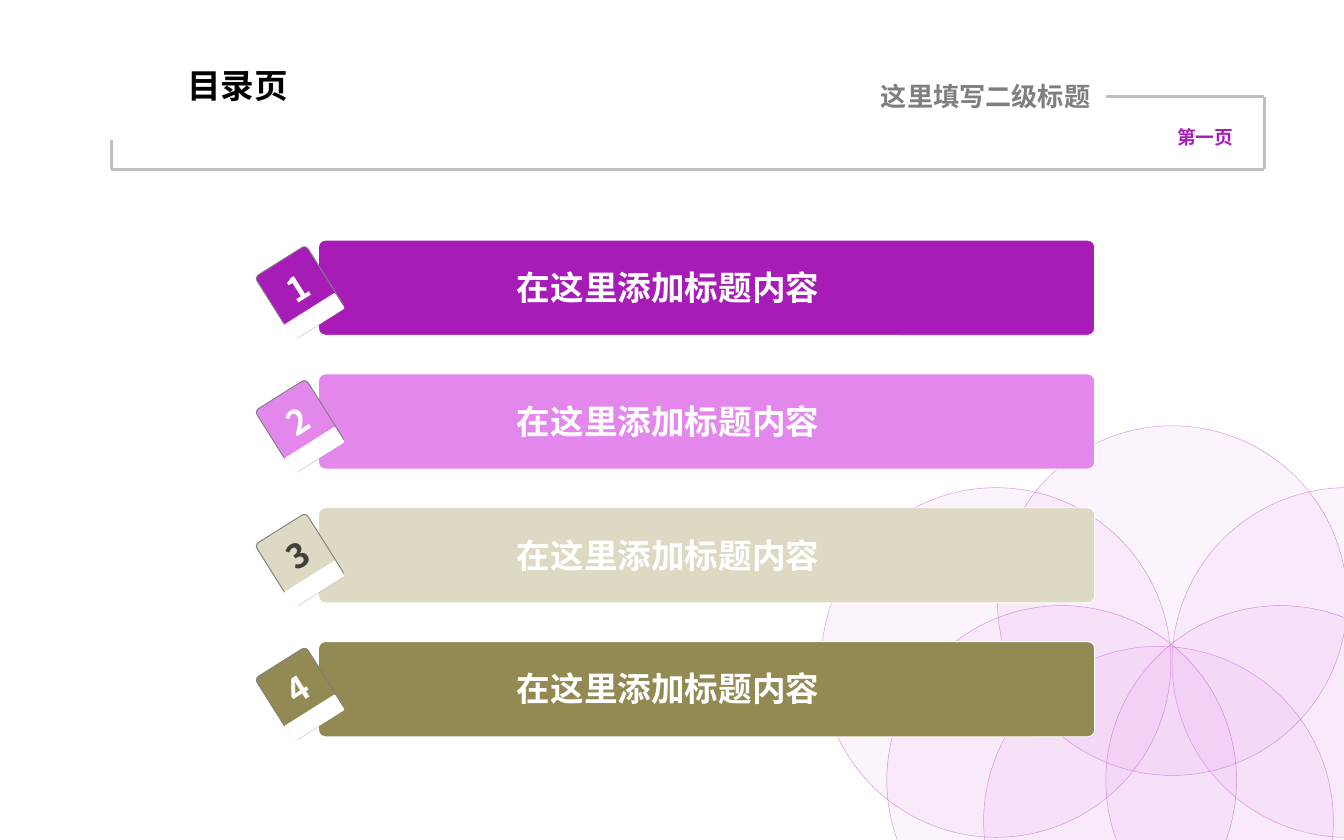
"""Build a contents slide with four numbered bars and a flower of circles."""
from itertools import pairwise

from lxml import etree
from pptx import Presentation
from pptx.dml.color import RGBColor
from pptx.enum.shapes import MSO_CONNECTOR, MSO_SHAPE
from pptx.enum.text import MSO_AUTO_SIZE
from pptx.oxml.ns import qn
from pptx.util import Cm, Pt

ROUND = MSO_SHAPE.ROUNDED_RECTANGLE
OVAL = MSO_SHAPE.OVAL
STRAIGHT = MSO_CONNECTOR.STRAIGHT
FIT = MSO_AUTO_SIZE.SHAPE_TO_FIT_TEXT

PURPLE = RGBColor(0xA7, 0x1C, 0xB6)
PINK = RGBColor(0xE3, 0x87, 0xED)
SAND = RGBColor(0xDD, 0xD9, 0xC3)
OLIVE = RGBColor(0x93, 0x89, 0x53)
WHITE = RGBColor(0xFF, 0xFF, 0xFF)
BLACK = RGBColor(0x00, 0x00, 0x00)
DARK = RGBColor(0x3F, 0x3F, 0x3F)
GRAY = RGBColor(0x7F, 0x7F, 0x7F)
SILVER = RGBColor(0xBF, 0xBF, 0xBF)

SANS = "Noto Sans CJK SC"
SANS_JP = "Noto Sans CJK JP"
PETAL = 6.61
PITCH = 2.53
TILT = 327.8


def add_form(home, kind, box, fill, edge=None, width=0.5, turn=0):
    form = home.add_shape(kind, *map(Cm, box))
    form.shadow.inherit = False
    form.rotation = turn
    form.fill.solid()
    form.fill.fore_color.rgb = fill
    if kind == ROUND:
        form.adjustments[0] = 0.073
    if edge is None:
        form.line.fill.background()
    else:
        form.line.color.rgb = edge
        form.line.width = Pt(width)
    return form


def add_text(home, words, box, size, color, font=SANS, turn=0):
    label = home.add_textbox(*map(Cm, box))
    label.rotation = turn
    frame = label.text_frame
    frame.word_wrap = False
    frame.auto_size = FIT
    run = frame.paragraphs[0].add_run()
    run.text = words
    run.font.name = font
    run.font.size = Pt(size)
    run.font.bold = True
    run.font.color.rgb = color
    east = etree.SubElement(run.font._element, qn("a:ea"))
    east.set("typeface", font)


deck = Presentation()
deck.slide_width = Cm(25.4)
deck.slide_height = Cm(15.88)
slide = deck.slides.add_slide(deck.slide_layouts[6])
shapes = slide.shapes

petals = [(22.15, 9.22), (18.59, 12.22), (18.85, 8.05),
          (15.52, 9.22), (20.9, 11.45), (16.76, 11.45)]
flower = shapes.add_group_shape().shapes
for left, top in petals:
    petal = add_form(flower, OVAL, (left, top, PETAL, PETAL), PINK, PURPLE, 0.25)
    colors = petal._element.spPr.iter(qn("a:srgbClr"))
    for color, alpha in zip(colors, (9, 43)):
        etree.SubElement(color, qn("a:alpha")).set("val", str(alpha * 1000))

bends = [(2.1, 2.64), (2.1, 3.2), (23.89, 3.2), (23.89, 1.83), (20.9, 1.83)]
for start, end in pairwise(bends):
    rule = shapes.add_connector(STRAIGHT, *map(Cm, start + end))
    rule.line.color.rgb = SILVER
    rule.line.width = Pt(1.5)
    etree.SubElement(rule._element.spPr, qn("a:effectLst"))

add_text(shapes, "目录页", (3.29, 1.11, 2.45, 1.02), 18, BLACK)
add_text(shapes, "这里填写二级标题", (16.4, 1.4, 4.5, 0.86), 14, GRAY)
add_text(shapes, "第一页", (22, 2.26, 1.62, 0.69), 10, PURPLE, SANS_JP)

rows = [(PURPLE, WHITE), (PINK, WHITE), (SAND, DARK), (OLIVE, WHITE)]
for index, (fill, ink) in enumerate(rows):
    top = 4.54 + index * PITCH
    row = shapes.add_group_shape().shapes
    add_form(row, ROUND, (6.02, top, 14.67, 1.8), fill, WHITE)
    add_form(row, ROUND, (5.1, top + 0.29, 1.14, 1.4), fill, GRAY, turn=TILT)
    add_form(row, ROUND, (5.37, top + 1.27, 1.14, 0.35), WHITE, turn=TILT)
    add_text(row, str(index + 1), (5.19, top + 0.39, 0.87, 1.02), 18, ink, turn=TILT)
    add_text(shapes, "在这里添加标题内容", (9.52, top + 0.38, 6.25, 1.02), 18, WHITE)

deck.save("out.pptx")
